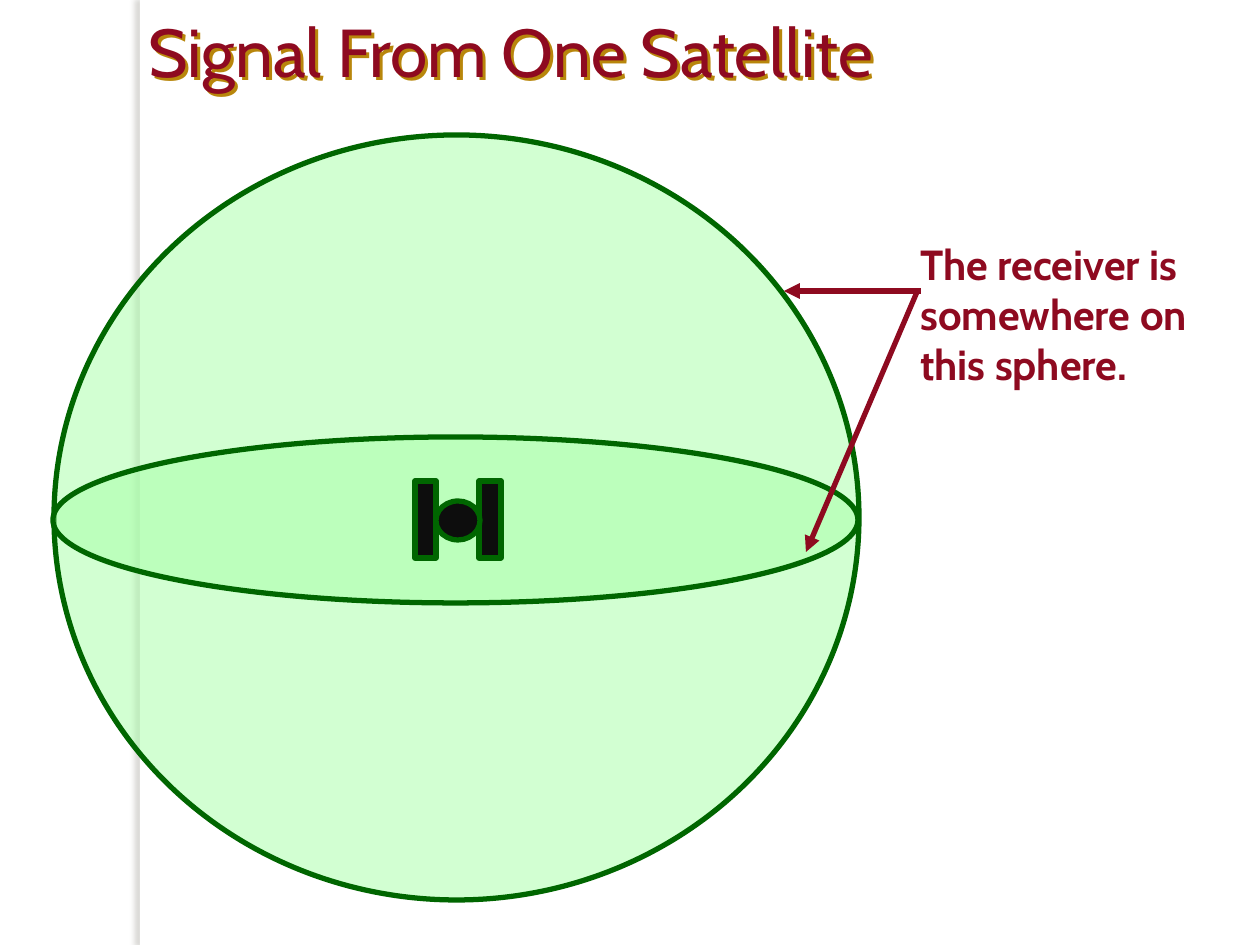
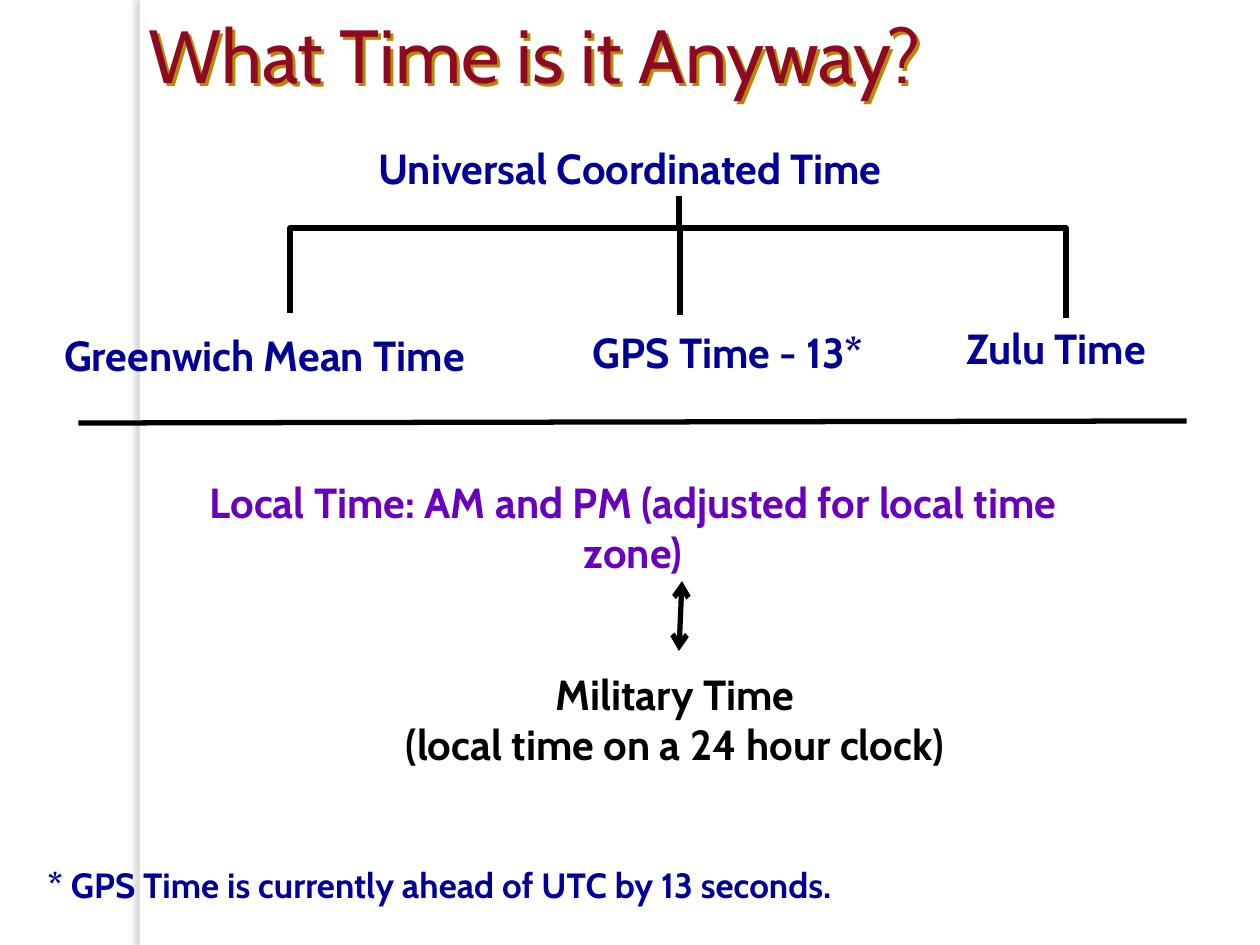
from dataclasses import dataclass
from pptx import Presentation
from pptx.dml.color import RGBColor
from pptx.enum.shapes import MSO_CONNECTOR, MSO_SHAPE
from pptx.enum.text import MSO_ANCHOR, MSO_AUTO_SIZE, PP_ALIGN
from pptx.oxml import parse_xml
from pptx.oxml.ns import nsdecls, qn
from pptx.util import Emu, Pt


@dataclass(frozen=True)
class Theme:
    font: str = "Cabin"
    red: str = "8E0A20"
    gold: str = "B8860B"
    green: str = "006600"
    mint: str = "A7FFA7"
    coal: str = "0D0D0D"
    navy: str = "000094"
    blue: str = "000099"
    violet: str = "6800BE"
    black: str = "000000"
    white: str = "FFFFFF"
    shade: str = "736F63"
    body: int = 24
    note: int = 20
    stroke: int = 3


T = Theme()
WIDE, HIGH = 1260, 945
LEFT, MID = PP_ALIGN.LEFT, PP_ALIGN.CENTER
OVAL, RECT = MSO_SHAPE.OVAL, MSO_SHAPE.RECTANGLE

# Content: boxes are (left, top, width, height) in px
BAND = (140, 0, 10, HIGH)

SPHERE = {
    "title": ("Signal From One Satellite", 38.7, 100),
    "shells": [(54, 135, 805, 765), (53, 437, 805, 166)],
    "craft": [(RECT, (415, 481, 21, 77)), (RECT, (479, 481, 22, 77)),
              (OVAL, (436, 501, 44, 39))],
    "arrows": [((917, 292), (806, 552)), ((921, 291), (784, 291))],
    "label": ("The receiver is somewhere on this sphere.", (908, 232, 330, 164)),
}

TIMES = {
    "title": ("What Time is it Anyway?", 43, 107),
    "labels": [
        ("Universal Coordinated Time", (0, 136, WIDE, 63), T.blue, MID),
        ("Greenwich Mean Time", (52, 323, 520, 63), T.navy, LEFT),
        ("GPS Time - 13*", (558, 320, 340, 63), T.navy, MID),
        ("Zulu Time", (954, 316, 253, 63), T.navy, LEFT),
        ("Local Time: AM and PM (adjusted for local time zone)",
         (184, 470, 898, 113), T.violet, MID),
        ("Military Time\v(local time on a 24 hour clock)",
         (255, 662, 840, 113), T.black, MID),
    ],
    "note": ("* GPS Time is currently ahead of UTC by 13 seconds.", (35, 857, 907, 54)),
    "fork": [(290, 310), (290, 228), (1066, 228), (1066, 315)],
    "lines": [((679, 199), (679, 224)), ((680, 234), (680, 312)),
              ((81, 423), (1184, 421))],
    "swap": ((682, 581), (679, 651)),
}


def px(*nums):
    return [Emu(round(n * 914400 / 126)) for n in nums]


def rgb(tone):
    return RGBColor.from_string(tone)


def shadow(tone, alpha, blur, dist, angle):
    return parse_xml(
        f'<a:effectLst {nsdecls("a")}><a:outerShdw blurRad="{Pt(blur)}" '
        f'dist="{Pt(dist)}" dir="{angle * 60000}" algn="tl" rotWithShape="0">'
        f'<a:srgbClr val="{tone}"><a:alpha val="{alpha * 1000}"/></a:srgbClr>'
        f'</a:outerShdw></a:effectLst>')


def stroke(item, tone, cap="flat", **ends):
    """Colour an outline and give it a cap and any arrowheads."""
    item.line.color.rgb = rgb(tone)
    item.line.width = Pt(T.stroke)
    ln = item._element.spPr.find(qn("a:ln"))
    ln.set("cap", cap)
    for end in ("head", "tail"):
        if end in ends:
            ln.append(parse_xml(f'<a:{end}End {nsdecls("a")} type="{ends[end]}"/>'))


def solid(shapes, kind, box, tone, edge=None, alpha=100):
    item = shapes.add_shape(kind, *px(*box))
    item.shadow.inherit = False
    item.fill.solid()
    item.fill.fore_color.rgb = rgb(tone)
    if alpha < 100:
        tint = item._element.spPr.find(qn("a:solidFill"))[0]
        tint.append(parse_xml(f'<a:alpha {nsdecls("a")} val="{alpha * 1000}"/>'))
    if edge:
        stroke(item, edge)
    else:
        item.line.fill.background()
    return item


def line(slide, ends, tone, **style):
    start, stop = ends
    item = slide.shapes.add_connector(MSO_CONNECTOR.STRAIGHT, *px(*start, *stop))
    stroke(item, tone, **style)
    item._element.spPr.append(parse_xml(f'<a:effectLst {nsdecls("a")}/>'))


def write(frame, text, size, tone, align=LEFT, bold=True):
    para = frame.paragraphs[0]
    para.text = text
    para.alignment = align
    font = para.font
    font.name, font.size, font.bold = T.font, Pt(size), bold
    font.color.rgb = rgb(tone)


def label(slide, text, box, tone, align=LEFT, size=T.body, wrap=True):
    frame = slide.shapes.add_textbox(*px(*box)).text_frame
    frame.word_wrap = wrap
    write(frame, text, size, tone, align)


def start(deck, text, size, high):
    """Add a slide with the shared title style."""
    slide = deck.slides.add_slide(deck.slide_layouts[5])
    title = slide.shapes.title
    title.left, title.top, title.width, title.height = px(136, 0, WIDE - 136, high)
    title.fill.background()
    title._element.spPr.append(shadow(T.gold, 100, 0, 2.4, 45))
    frame = title.text_frame
    frame.auto_size = MSO_AUTO_SIZE.NONE
    frame.word_wrap = True
    frame.vertical_anchor = MSO_ANCHOR.MIDDLE
    write(frame, text, size, T.red, bold=False)
    return slide


def share(slide):
    """Move the side band to the layout, behind every slide."""
    band = solid(slide.shapes, RECT, BAND, T.white)._element
    band.spPr.replace(band.spPr.find(qn("a:effectLst")),
                      shadow(T.shade, 25, 3, 3, 180))
    band.nvSpPr.cNvPr.set("id", "99")
    slide.slide_layout.shapes._spTree.insert(2, band)


def sphere(deck):
    slide = start(deck, *SPHERE["title"])
    share(slide)
    for box in SPHERE["shells"]:
        solid(slide.shapes, OVAL, box, T.mint, T.green, 50)
    craft = slide.shapes.add_group_shape()
    for kind, box in SPHERE["craft"]:
        solid(craft.shapes, kind, box, T.coal, T.green)
    for ends in SPHERE["arrows"]:
        line(slide, ends, T.red, tail="triangle")
    label(slide, *SPHERE["label"], T.red)


def times(deck):
    slide = start(deck, *TIMES["title"])
    for row in TIMES["labels"]:
        label(slide, *row)
    label(slide, *TIMES["note"], T.blue, size=T.note, wrap=False)
    # Fork from universal time to its three names
    first, *rest = [px(*dot) for dot in TIMES["fork"]]
    pen = slide.shapes.build_freeform(*first)
    pen.add_line_segments(rest, close=False)
    fork = pen.convert_to_shape()
    fork.shadow.inherit = False
    fork.fill.background()
    stroke(fork, T.black, "sq")
    for ends in TIMES["lines"]:
        line(slide, ends, T.black, cap="sq")
    line(slide, TIMES["swap"], T.black, head="arrow", tail="arrow")


def main():
    deck = Presentation()
    deck.slide_width, deck.slide_height = px(WIDE, HIGH)
    sphere(deck)
    times(deck)
    deck.save("out.pptx")


if __name__ == "__main__":
    main()
